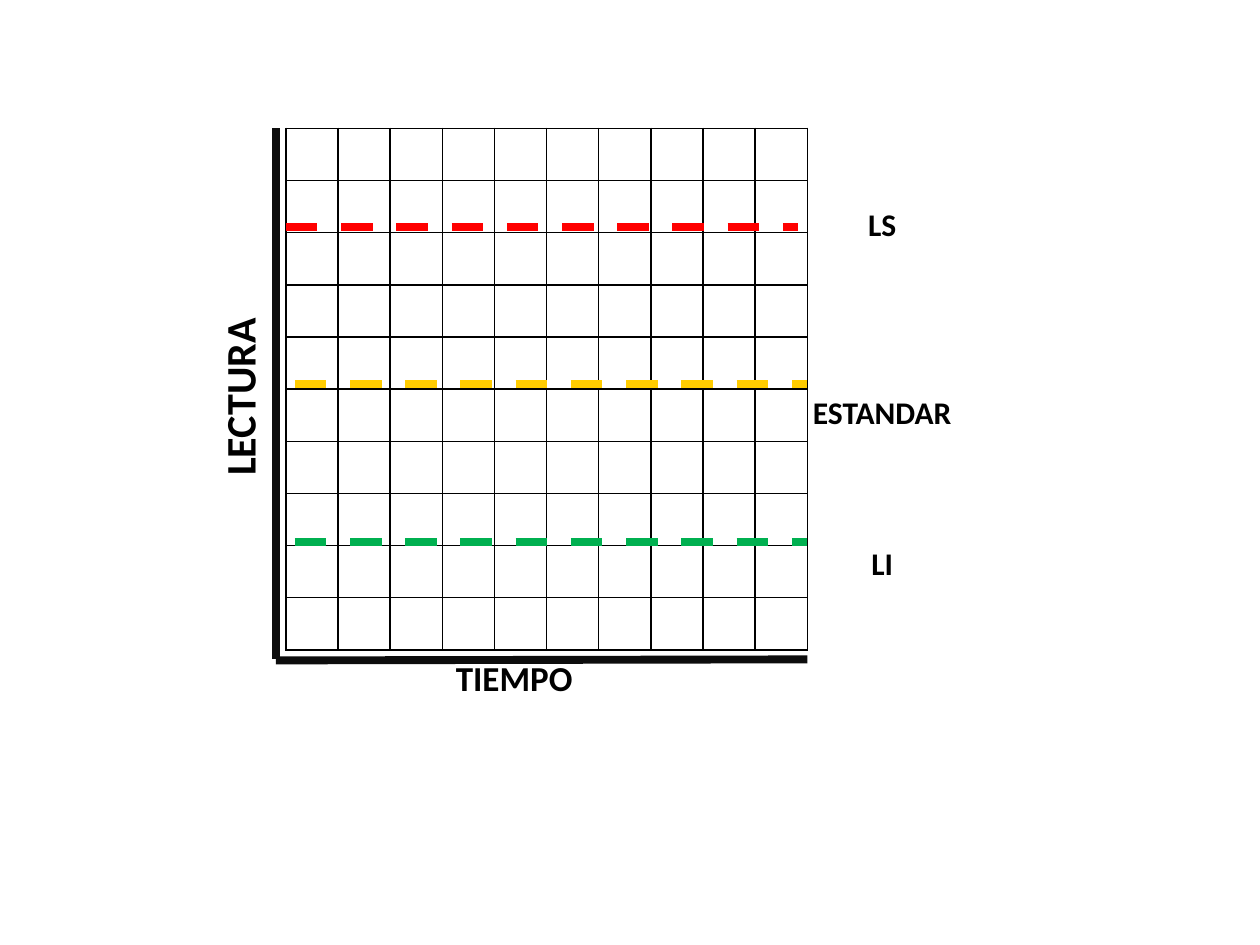
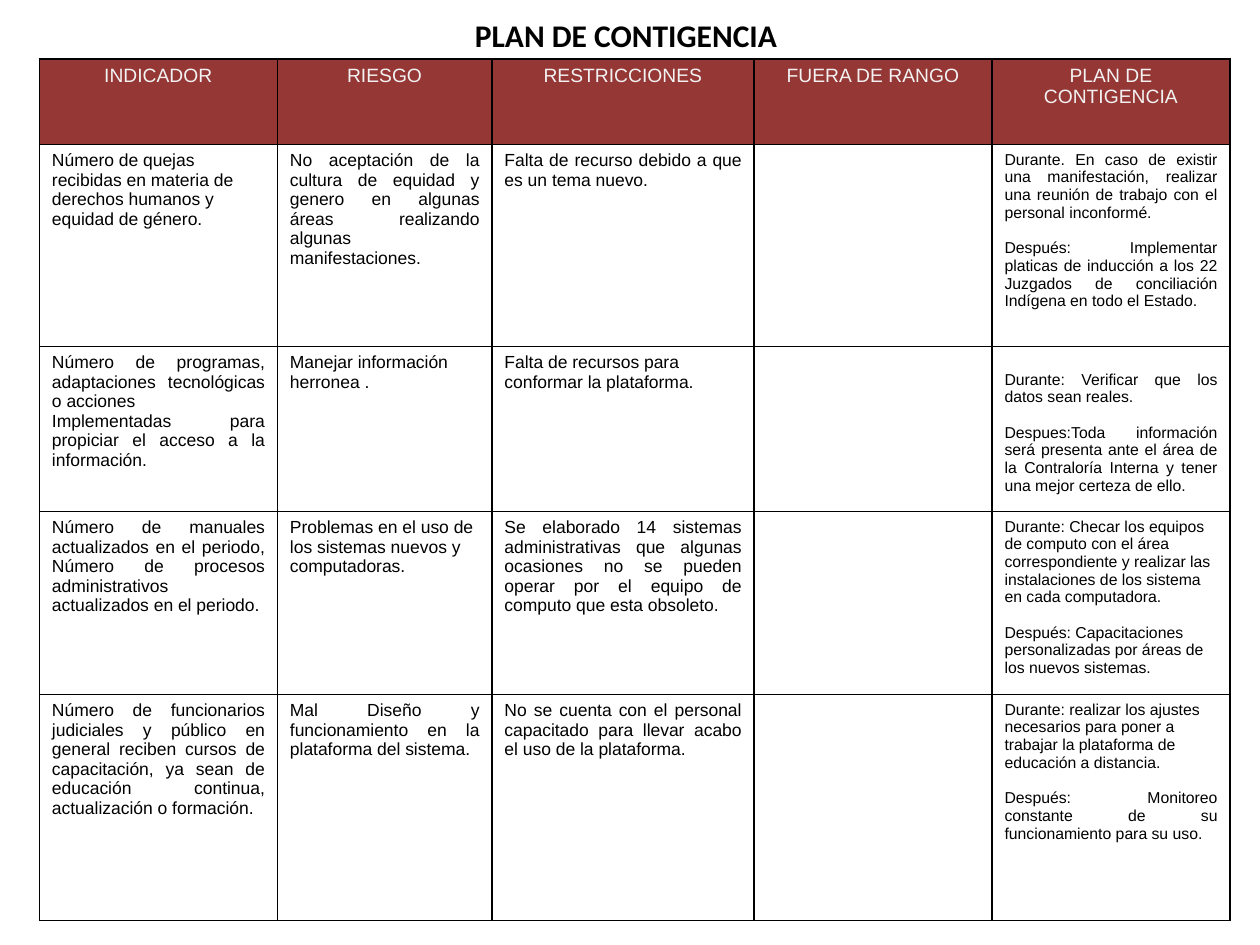
from dataclasses import dataclass

from lxml.etree import SubElement
from pptx import Presentation
from pptx.dml.color import RGBColor
from pptx.enum.dml import MSO_LINE_DASH_STYLE as Dash
from pptx.enum.shapes import MSO_CONNECTOR as Connector
from pptx.enum.text import MSO_ANCHOR as Anchor, MSO_AUTO_SIZE as AutoSize, PP_ALIGN as Align
from pptx.oxml.ns import qn
from pptx.util import Pt


@dataclass(frozen=True)
class Theme:
    """Colours, fonts, type sizes and line widths of both slides."""
    ink: str = "000000"
    axis: str = "0D0D0D"
    header_fill: str = "953735"
    header_text: str = "F2F2F2"
    upper: str = "FF0000"
    standard: str = "FFCC00"
    lower: str = "00B050"
    label_font: str = "Calibri"
    table_font: str = "Arial"
    reading: float = 24
    time: float = 20
    label: float = 18
    header: float = 11
    body: float = 10
    plan: float = 9
    border: float = 1
    rule: float = 4.5


THEME = Theme()
GRID_LEFT, GRID_TOP, GRID_STEP, GRID_COUNT = 163.4, 73.4, 29.8, 10
GRID_RIGHT = GRID_LEFT + GRID_STEP * GRID_COUNT
AXIS_LEFT, AXIS_BOTTOM = 157.6, 376.8
PLAN_GAP = 10.2
LEFT, JUSTIFY = Align.LEFT, Align.JUSTIFY

HEADERS = ["INDICADOR", "RIESGO", "RESTRICCIONES", "FUERA DE RANGO", "PLAN DE CONTIGENCIA"]
COLUMN_WIDTHS = [136, 122.6, 149.8, 136, 136]
ROW_HEIGHTS = [49.1, 115.4, 94.3, 104.6, 129.1]
# Each cell is a list of (alignment, text) paragraphs.
CONTINGENCIES = [
    [[(LEFT, "Número de quejas recibidas en materia de derechos humanos y equidad de género.")],
     [(JUSTIFY, "No aceptación de la cultura de equidad y genero en algunas áreas realizando "
                "algunas manifestaciones.")],
     [(JUSTIFY, "Falta de recurso debido a que es un tema nuevo.")],
     [],
     [(JUSTIFY, "Durante. En caso de existir una manifestación, realizar una reunión de trabajo "
                "con el personal inconformé."),
      (JUSTIFY, "Después: Implementar platicas de inducción a los 22 Juzgados de conciliación "
                "Indígena en todo el Estado.")]],
    [[(JUSTIFY, "Número de programas, adaptaciones tecnológicas o acciones"),
      (JUSTIFY, "Implementadas para propiciar el acceso a la información.")],
     [(LEFT, "Manejar información herronea .")],
     [(LEFT, "Falta de recursos para conformar la plataforma.")],
     [],
     [(JUSTIFY, "Durante: Verificar que los datos sean reales."),
      (JUSTIFY, "Despues:Toda información será presenta ante el área de la Contraloría Interna "
                "y tener una mejor certeza de ello.")]],
    [[(JUSTIFY, "Número de manuales actualizados en el periodo, Número de procesos "
                "administrativos actualizados en el periodo.")],
     [(LEFT, "Problemas en el uso de los sistemas nuevos y computadoras.")],
     [(JUSTIFY, "Se elaborado 14 sistemas administrativas que algunas ocasiones no se pueden "
                "operar por el equipo de computo que esta obsoleto.")],
     [],
     [(LEFT, "Durante: Checar los equipos de computo con el área correspondiente y realizar "
             "las instalaciones de los sistema en cada computadora."),
      (LEFT, "Después: Capacitaciones personalizadas por áreas de los nuevos sistemas.")]],
    [[(JUSTIFY, "Número de funcionarios judiciales y público en general reciben cursos de "
                "capacitación, ya sean de educación continua, actualización o formación.")],
     [(JUSTIFY, "Mal Diseño y funcionamiento en la plataforma del sistema.")],
     [(JUSTIFY, "No se cuenta con el personal capacitado para llevar acabo el uso de la "
                "plataforma.")],
     [],
     [(LEFT, "Durante: realizar los ajustes necesarios para poner a trabajar la plataforma de "
             "educación a distancia."),
      (JUSTIFY, "Después: Monitoreo constante de su funcionamiento para su uso.")]],
]


def set_all(target, values):
    """Set each attribute named in a dict of format values."""
    for name, value in values.items():
        setattr(target, name, value)


def write(frame, paragraphs, size, color=THEME.ink, font=THEME.label_font, bold=True, gaps=()):
    """Fill a text frame with (alignment, text) paragraphs, with optional gaps before them."""
    for index, (alignment, text) in enumerate(paragraphs):
        paragraph = frame.paragraphs[0] if index == 0 else frame.add_paragraph()
        gap = gaps[index] if index < len(gaps) else 0
        set_all(paragraph, {"alignment": alignment, "space_before": Pt(gap), "space_after": Pt(0)})
        run = paragraph.add_run()
        run.text = text
        set_all(run.font, {"name": font, "size": Pt(size), "bold": bold})
        run.font.color.rgb = RGBColor.from_string(color)


def place(shape, left, top, width, height):
    """Move and size a shape, with lengths in points."""
    set_all(shape, {"left": Pt(left), "top": Pt(top), "width": Pt(width), "height": Pt(height)})


def add_label(slide, box, paragraphs, size, rotation=0, anchor=Anchor.TOP, gaps=()):
    """Add a bold label in a text box."""
    label = slide.shapes.add_textbox(*map(Pt, box))
    label.rotation = rotation
    set_all(label.text_frame, {"word_wrap": True, "vertical_anchor": anchor})
    write(label.text_frame, paragraphs, size, gaps=gaps)


def add_rule(slide, start, end, color, dash=None):
    """Draw a thick straight line without a shadow."""
    rule = slide.shapes.add_connector(Connector.STRAIGHT, *map(Pt, (*start, *end)))
    rule.line.color.rgb = RGBColor.from_string(color)
    set_all(rule.line, {"width": Pt(THEME.rule), "dash_style": dash})
    SubElement(rule._element.spPr, qn("a:effectLst"))


def border_cell(cell):
    """Give all four sides of a cell a thin border."""
    properties = cell._tc.get_or_add_tcPr()
    for side in ("lnL", "lnR", "lnT", "lnB"):
        edge = SubElement(properties, qn(f"a:{side}"), w=str(Pt(THEME.border)))
        SubElement(SubElement(edge, qn("a:solidFill")), qn("a:srgbClr"), val=THEME.ink)


def add_grid(slide, left, top, widths, heights):
    """Add a bordered, unfilled table and return it."""
    table = slide.shapes.add_table(len(heights), len(widths), Pt(left), Pt(top),
                                   Pt(sum(widths)), Pt(sum(heights))).table
    set_all(table, {"first_row": False, "horz_banding": False})
    for column, width in zip(table.columns, widths):
        column.width = Pt(width)
    for row, height in zip(table.rows, heights):
        row.height = Pt(height)
    for cell in table.iter_cells():
        border_cell(cell)
        cell.fill.background()
    return table


def build_control_chart(prs):
    """Build the blank control chart with its axes and limits."""
    slide = prs.slides.add_slide(prs.slide_layouts[6])
    steps = [GRID_STEP] * GRID_COUNT
    add_grid(slide, GRID_LEFT, GRID_TOP, steps, steps)
    add_label(slide, (78.5, 203, 115.9, 36), [(LEFT, "LECTURA")], THEME.reading, rotation=270)
    add_label(slide, (253.4, 371.5, 95, 31.7), [(LEFT, "TIEMPO")], THEME.time)
    add_rule(slide, (AXIS_LEFT, GRID_TOP), (AXIS_LEFT, AXIS_BOTTOM), THEME.axis)
    add_rule(slide, (GRID_RIGHT, AXIS_BOTTOM), (AXIS_LEFT, AXIS_BOTTOM + 0.6), THEME.axis)
    limits = [(Align.CENTER, name) for name in ("LS", "ESTANDAR", "LI")]
    add_label(slide, (448, 78.5, 112.3, 292.3), limits, THEME.label,
              anchor=Anchor.MIDDLE, gaps=(0, 86.2, 64.4))
    dashes = [(163.4, 455.8, THEME.upper), (168.5, GRID_RIGHT, THEME.standard),
              (168.5, GRID_RIGHT, THEME.lower)]
    for index, (start, end, color) in enumerate(dashes):
        level = 129.6 + 90 * index
        add_rule(slide, (start, level), (end, level), color, Dash.DASH)


def build_contingency_plan(prs):
    """Build the contingency plan: a title and a table."""
    slide = prs.slides.add_slide(prs.slide_layouts[5])
    title = slide.shapes.title
    place(title, 264.2, 5.8, 197.3, 28.8)
    set_all(title.text_frame, {"word_wrap": True, "auto_size": AutoSize.NONE,
                               "vertical_anchor": Anchor.TOP})
    write(title.text_frame, [(LEFT, "PLAN DE CONTIGENCIA")], THEME.label)

    table = add_grid(slide, 22.5, 33.6, COLUMN_WIDTHS, ROW_HEIGHTS)
    for column, header in enumerate(HEADERS):
        cell = table.cell(0, column)
        cell.fill.solid()
        cell.fill.fore_color.rgb = RGBColor.from_string(THEME.header_fill)
        write(cell.text_frame, [(Align.CENTER, header)], THEME.header, THEME.header_text,
              THEME.table_font, bold=False)
    plan_column = len(HEADERS) - 1
    for row, contents in enumerate(CONTINGENCIES, start=1):
        for column, paragraphs in enumerate(contents):
            is_plan = column == plan_column
            write(table.cell(row, column).text_frame, paragraphs,
                  THEME.plan if is_plan else THEME.body, font=THEME.table_font, bold=False,
                  gaps=(0, PLAN_GAP) if is_plan else ())
    table.cell(2, plan_column).margin_top = Pt(3.6 + PLAN_GAP)


def main():
    """Build both slides and save the file."""
    prs = Presentation()
    set_all(prs, {"slide_width": Pt(720), "slide_height": Pt(540)})
    build_control_chart(prs)
    build_contingency_plan(prs)
    prs.save("out.pptx")


main()
